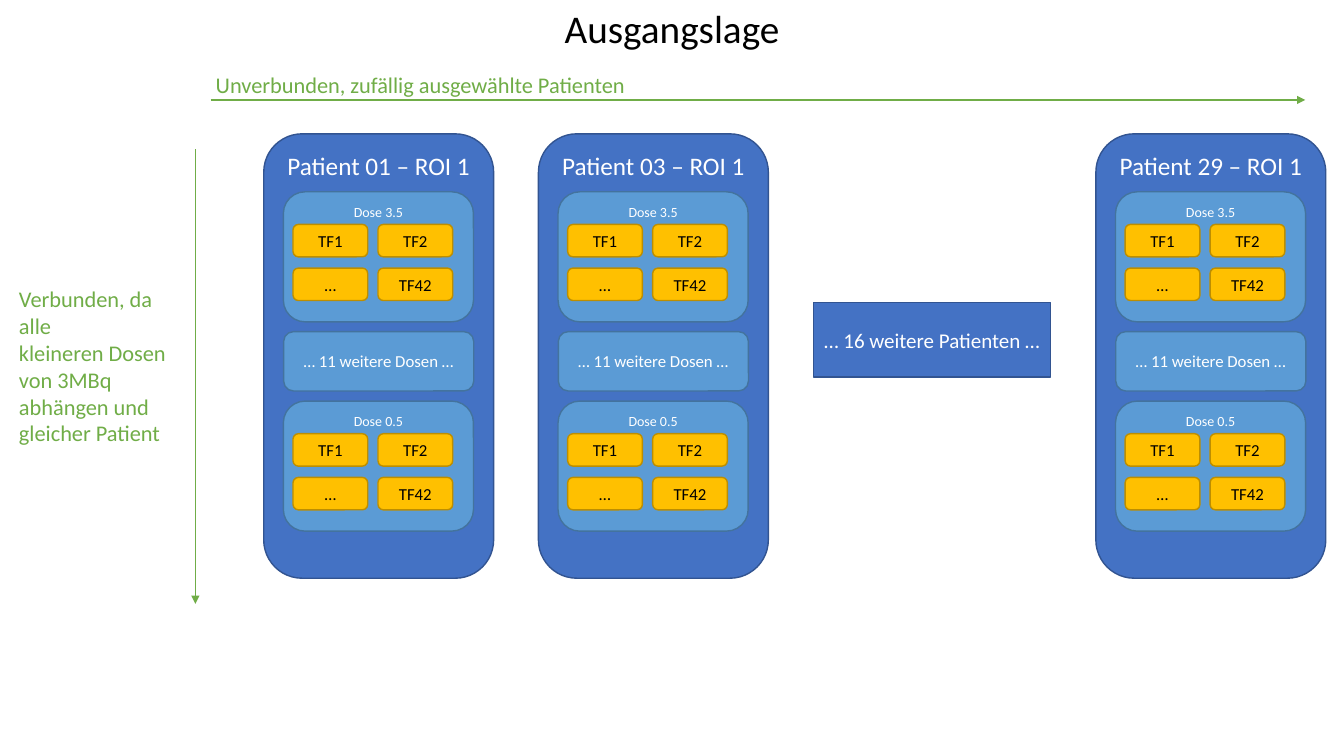
"""Build the slide on connected and unconnected patient samples."""
from lxml import etree
from pptx import Presentation
from pptx.dml.color import RGBColor
from pptx.enum.shapes import MSO_CONNECTOR, MSO_SHAPE
from pptx.enum.text import MSO_ANCHOR, PP_ALIGN
from pptx.oxml.ns import qn
from pptx.util import Pt

WHITE = RGBColor(0xFF, 0xFF, 0xFF)
BLACK = RGBColor(0x00, 0x00, 0x00)
GREEN = RGBColor(0x70, 0xAD, 0x47)
BLUE = RGBColor(0x44, 0x72, 0xC4)
BLUE_LINE = RGBColor(0x32, 0x54, 0x91)
LIGHT_BLUE = RGBColor(0x5B, 0x9B, 0xD5)
LIGHT_BLUE_LINE = RGBColor(0x43, 0x73, 0x9E)
YELLOW = RGBColor(0xFF, 0xC0, 0x00)
YELLOW_LINE = RGBColor(0xBD, 0x8E, 0x00)
RECTANGLE, ROUNDED = MSO_SHAPE.RECTANGLE, MSO_SHAPE.ROUNDED_RECTANGLE
STRAIGHT = MSO_CONNECTOR.STRAIGHT
TOP, MIDDLE = MSO_ANCHOR.TOP, MSO_ANCHOR.MIDDLE
LEFT, CENTER = PP_ALIGN.LEFT, PP_ALIGN.CENTER

PATIENT = {"fill": BLUE, "line": BLUE_LINE, "size": 18, "color": WHITE, "anchor": TOP}
REMAINING_PATIENTS = {**PATIENT, "size": 15, "anchor": MIDDLE}
DOSE = {"fill": LIGHT_BLUE, "line": LIGHT_BLUE_LINE, "size": 10, "color": WHITE, "anchor": TOP}
REMAINING_DOSES = {**DOSE, "size": 12, "anchor": MIDDLE}
FEATURE = {"fill": YELLOW, "line": YELLOW_LINE, "size": 12, "color": BLACK, "anchor": MIDDLE}

presentation = Presentation()
presentation.slide_width, presentation.slide_height = Pt(960), Pt(540)
slide = presentation.slides.add_slide(presentation.slide_layouts[5])


def write_text(shape, text, size, color, anchor, alignment):
    frame = shape.text_frame
    frame.text = text
    frame.word_wrap = True
    frame.vertical_anchor = anchor
    for paragraph in frame.paragraphs:
        paragraph.alignment = alignment
        font_format = {"name": "Calibri", "size": Pt(size)}
        for name, value in font_format.items():
            setattr(paragraph.font, name, value)
        paragraph.font.color.rgb = color


def add_box(kind, left, top, width, height, text, style):
    shape = slide.shapes.add_shape(kind, Pt(left), Pt(top), Pt(width), Pt(height))
    shape.shadow.inherit = False
    shape.fill.solid()
    shape.fill.fore_color.rgb = style["fill"]
    shape.line.color.rgb = style["line"]
    shape.line.width = Pt(1)
    write_text(shape, text, style["size"], style["color"], style["anchor"], CENTER)
    shape.text_frame.margin_left = shape.text_frame.margin_right = 0


title = slide.shapes.title
title_place = {"left": Pt(0), "top": Pt(-0.7), "width": Pt(960), "height": Pt(41.2)}
for name, value in title_place.items():
    setattr(title, name, value)
write_text(title, "Ausgangslage", 28, BLACK, TOP, CENTER)

add_box(RECTANGLE, 581, 216, 169.5, 53.3, "… 16 weitere Patienten …", REMAINING_PATIENTS)

for number, left in (("01", 188.4), ("03", 384.6), ("29", 782.8)):
    add_box(ROUNDED, left, 95.6, 164.2, 317.4, f"Patient {number} – ROI 1", PATIENT)
    add_box(ROUNDED, left + 14.2, 236.9, 135.8, 42.4, "… 11 weitere Dosen …", REMAINING_DOSES)
    for dose, top in (("3.5", 137), ("0.5", 286.5)):
        add_box(ROUNDED, left + 14, top, 135.8, 92.9, f"Dose {dose}", DOSE)
        for index, feature in enumerate(("TF1", "TF2", "…", "TF42")):
            row, column = divmod(index, 2)
            add_box(ROUNDED, left + 20.9 + 60.7 * column, top + 23.3 + 31.2 * row,
                    53.4, 23.2, feature, FEATURE)

for start_x, start_y, end_x, end_y in ((139.6, 106.6, 139.6, 431.4), (150.4, 71.4, 932.4, 71.4)):
    arrow = slide.shapes.add_connector(STRAIGHT, Pt(start_x), Pt(start_y), Pt(end_x), Pt(end_y))
    arrow.line.color.rgb = GREEN
    arrow.line.width = Pt(1)
    etree.SubElement(arrow.line._get_or_add_ln(), qn("a:tailEnd"), type="triangle")
    etree.SubElement(arrow._element.spPr, qn("a:effectLst"))

for left, top, width, height, text in (
    (6.5, 200.2, 120.2, 123.8,
     "Verbunden, da alle\nkleineren Dosen von 3MBq abhängen und gleicher Patient"),
    (147, 47.5, 445, 26.6, "Unverbunden, zufällig ausgewählte Patienten"),
):
    label = slide.shapes.add_textbox(Pt(left), Pt(top), Pt(width), Pt(height))
    write_text(label, text, 16, GREEN, TOP, LEFT)

presentation.save("out.pptx")
